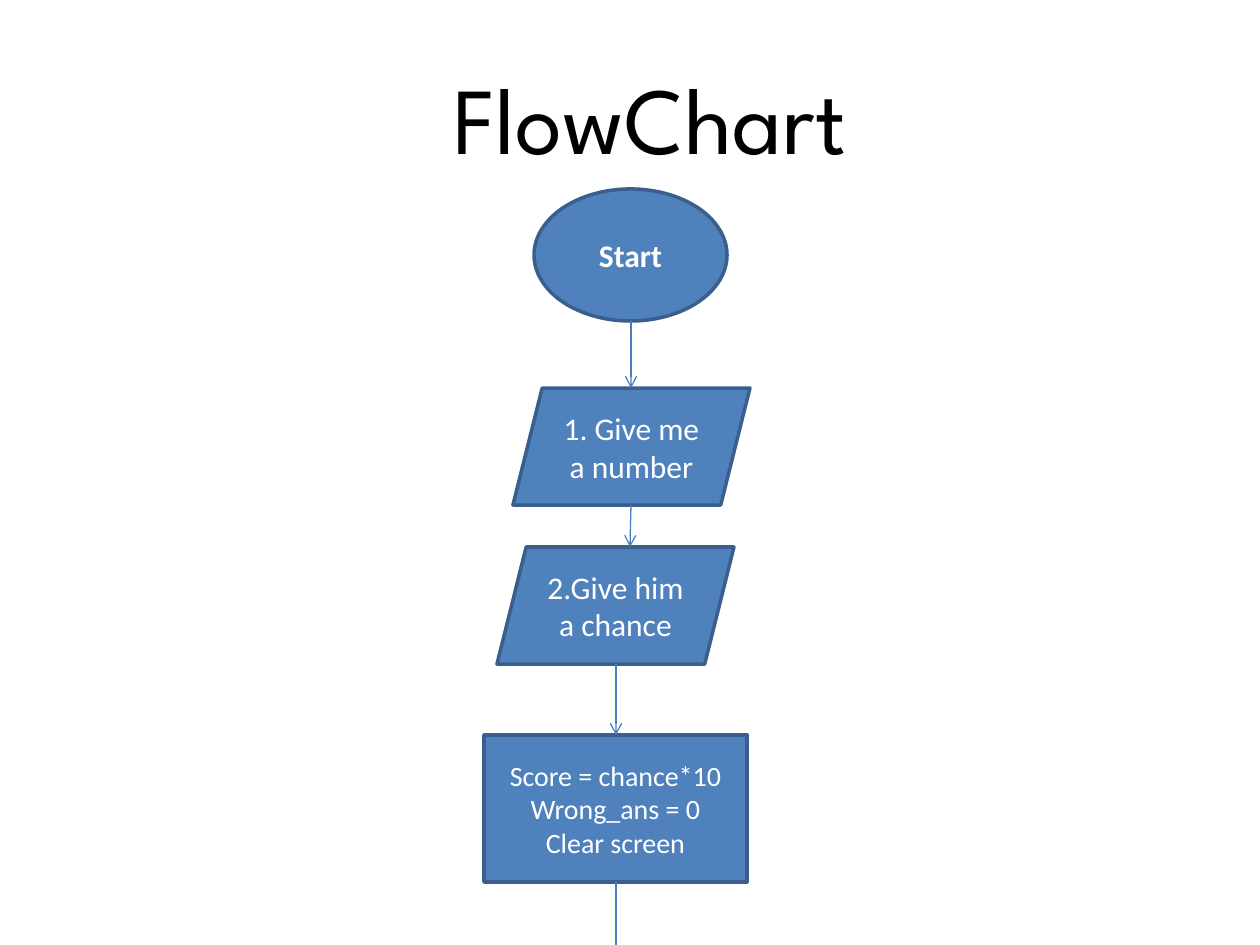
from lxml import etree
from pptx import Presentation
from pptx.dml.color import RGBColor
from pptx.enum.shapes import MSO_CONNECTOR, MSO_SHAPE
from pptx.enum.text import MSO_ANCHOR, PP_ALIGN
from pptx.oxml.ns import qn
from pptx.util import Pt

OVAL = MSO_SHAPE.OVAL
SLANT = MSO_SHAPE.PARALLELOGRAM
RECT = MSO_SHAPE.RECTANGLE
STRAIGHT = MSO_CONNECTOR.STRAIGHT
MIDDLE = MSO_ANCHOR.MIDDLE
CENTER = PP_ALIGN.CENTER

SCALE = 914400 / 126
COLORS = {"fill": "4F81BD", "edge": "3A5F8C", "link": "4B7EBC", "title": "000000", "text": "FFFFFF"}


def px(*sizes):
    """Turn px lengths into EMU."""
    return [round(size * SCALE) for size in sizes]


def color(name):
    """Look up a named colour."""
    return RGBColor.from_string(COLORS[name])


def write(shape, lines, font, size, tint, bold=False):
    """Fill a shape with centred lines of text."""
    frame = shape.text_frame
    frame.word_wrap = True
    frame.vertical_anchor = MIDDLE
    frame.text = "\n".join(lines)
    for para in frame.paragraphs:
        para.alignment = CENTER
        para.font.name = font
        para.font.size = Pt(size)
        para.font.bold = bold
        para.font.color.rgb = color(tint)


def step(slide, kind, box, lines, size=18, bold=False):
    """Draw one step of the flow."""
    shape = slide.shapes.add_shape(kind, *px(*box))
    shape.shadow.inherit = False
    shape.fill.solid()
    shape.fill.fore_color.rgb = color("fill")
    shape.line.color.rgb = color("edge")
    shape.line.width = Pt(2)
    write(shape, lines, "Calibri", size, "text", bold)


def link(slide, start, end, arrow=True):
    """Draw a line between two points, with an arrowhead if asked."""
    line = slide.shapes.add_connector(STRAIGHT, *px(*start, *end))
    line.line.color.rgb = color("link")
    line.line.width = Pt(0.75)
    props = line._element.spPr
    if arrow:
        etree.SubElement(props.find(qn("a:ln")), qn("a:tailEnd"), type="arrow")
    etree.SubElement(props, qn("a:effectLst"))


def title(slide, left, top, width, height):
    """Place the slide title in its box."""
    box = slide.shapes.add_textbox(*px(left, top, width, height))
    write(box, ["FlowChart "], "League Spartan", 54, "title")


def flow(slide, left, top, width, height):
    """Place the steps and their links in the box."""
    steps = [
        (OVAL, (50, 0, 193, 132), ["Start"], 18, True),
        (SLANT, (29, 199, 237, 117), ["1. Give me a number"], 18, False),
        (SLANT, (13, 358, 237, 117), ["2.Give him a chance"], 18, False),
        (RECT, (0, 546, 263, 147), ["Score = chance*10", "Wrong_ans = 0", "Clear screen"], 16, False),
    ]
    for kind, (x, y, w, h), lines, size, bold in steps:
        step(slide, kind, (left + x, top + y, w, h), lines, size, bold)
    spots = [box for _, box, *_ in steps]
    for (_, y, _, h), (_, below, _, _), x, end in zip(spots, spots[1:], (147, 147, 132), (147, 146, 132)):
        link(slide, (left + x, top + y + h), (left + end, top + below))
    _, y, w, h = spots[-1]
    link(slide, (left + w // 2 + 1, top + y + h), (left + w // 2 + 1, top + height), False)


def main():
    """Build and save the slide."""
    deck = Presentation()
    deck.slide_width, deck.slide_height = px(1260, 945)
    slide = deck.slides.add_slide(deck.slide_layouts[6])
    title(slide, 105, 38, 1113, 158)
    flow(slide, 484, 189, 266, 756)
    deck.save("out.pptx")


if __name__ == "__main__":
    main()
